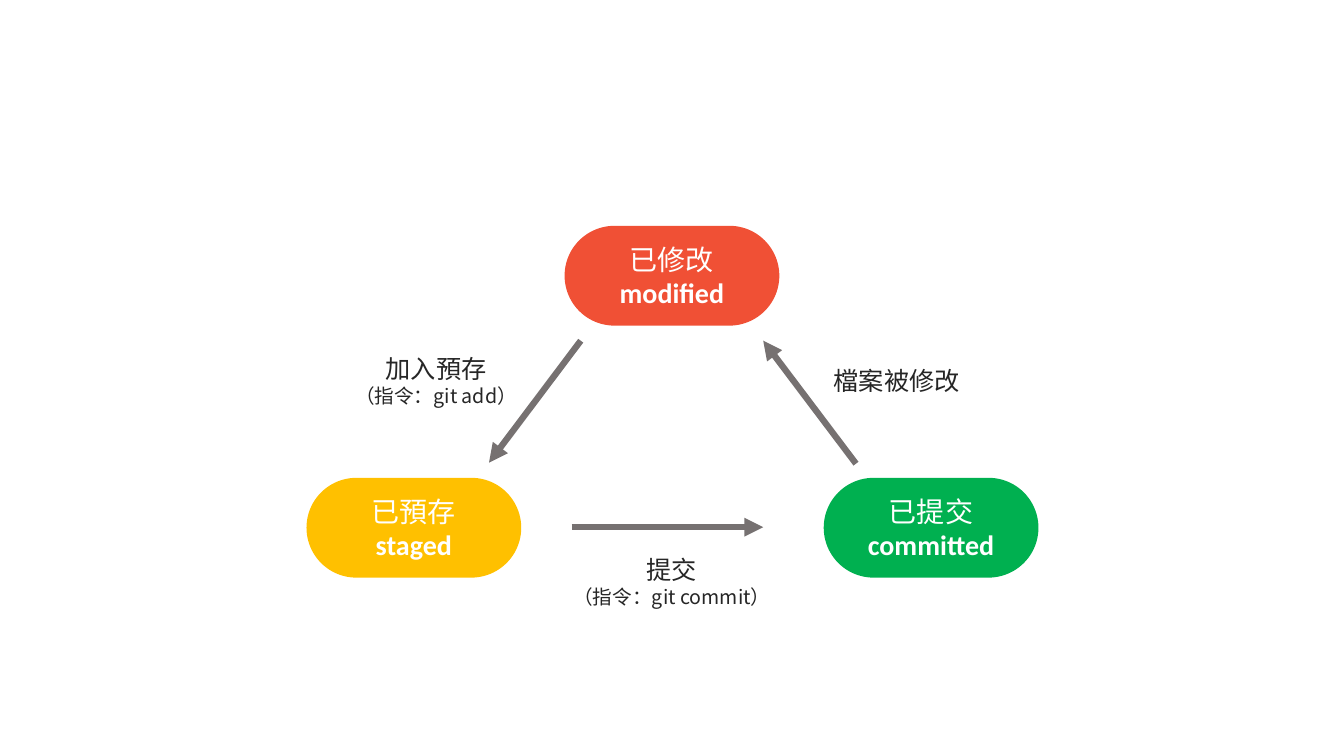
from dataclasses import dataclass

from lxml import etree
from pptx import Presentation
from pptx.dml.color import RGBColor
from pptx.enum import shapes, text
from pptx.oxml import ns
from pptx.util import Inches, Pt


@dataclass(frozen=True)
class Theme:
    cjk: str = "Noto Sans CJK TC"
    latin: str = "Calibri"
    modified: str = "F05035"
    staged: str = "FFC000"
    committed: str = "00B050"
    arrow: str = "767171"
    ink: str = "262626"
    white: str = "FFFFFF"
    state_size: int = 20
    action_size: int = 18
    command_size: int = 14
    arrow_width: float = 4.5


THEME = Theme()
STATE_SIZE = (2.13, 0.99)


def set_typeface(font, typeface):
    """Use one typeface for both Latin and East Asian characters."""
    font.name = typeface
    latin = font._element.find(ns.qn("a:latin"))
    east_asian = etree.Element(ns.qn("a:ea"), typeface=typeface)
    latin.addnext(east_asian)


def add_state(slide, left, top, title, english, color):
    """A pill with the state's name in Chinese and in English."""
    width, height = STATE_SIZE
    state = slide.shapes.add_shape(
        shapes.MSO_SHAPE.ROUNDED_RECTANGLE,
        Inches(left), Inches(top), Inches(width), Inches(height))
    state.adjustments[0] = 0.5
    state.shadow.inherit = False
    state.fill.solid()
    state.fill.fore_color.rgb = RGBColor.from_string(color)
    state.line.fill.background()

    frame = state.text_frame
    frame.word_wrap = True
    frame.vertical_anchor = text.MSO_ANCHOR.MIDDLE
    names = frame.paragraphs[0]
    names.alignment = text.PP_ALIGN.CENTER
    names.font.size = Pt(THEME.state_size)
    names.font.color.rgb = RGBColor.from_string(THEME.white)

    title_run = names.add_run()
    title_run.text = title
    set_typeface(title_run.font, THEME.cjk)
    names.add_line_break()
    english_run = names.add_run()
    english_run.text = english
    english_run.font.bold = True
    set_typeface(english_run.font, THEME.latin)


def add_arrow(slide, start, end):
    """A straight transition arrow with a triangle at its end."""
    arrow = slide.shapes.add_connector(
        shapes.MSO_CONNECTOR.STRAIGHT, *map(Inches, start + end))
    arrow.line.width = Pt(THEME.arrow_width)
    arrow.line.color.rgb = RGBColor.from_string(THEME.arrow)
    etree.SubElement(arrow.line._get_or_add_ln(), ns.qn("a:tailEnd"), type="triangle")
    etree.SubElement(arrow._element.spPr, ns.qn("a:effectLst"))


def add_action(slide, box, action, command=None):
    """The action's name, with its command on a smaller second line."""
    label = slide.shapes.add_textbox(*map(Inches, box))
    frame = label.text_frame
    frame.word_wrap = True
    frame.auto_size = text.MSO_AUTO_SIZE.SHAPE_TO_FIT_TEXT
    wording = frame.paragraphs[0]
    wording.font.size = Pt(THEME.action_size)
    wording.font.color.rgb = RGBColor.from_string(THEME.ink)
    set_typeface(wording.font, THEME.cjk)

    wording.add_run().text = action
    if command:
        wording.alignment = text.PP_ALIGN.CENTER
        wording.add_line_break()
        command_run = wording.add_run()
        command_run.text = f"（指令：{command}）"
        command_run.font.size = Pt(THEME.command_size)


def main():
    deck = Presentation()
    deck.slide_width, deck.slide_height = Inches(13.33), Inches(7.5)
    slide = deck.slides.add_slide(deck.slide_layouts[6])

    # File states
    add_state(slide, 5.6, 2.24, "已修改", "modified", THEME.modified)
    add_state(slide, 3.04, 4.74, "已預存", "staged", THEME.staged)
    add_state(slide, 8.17, 4.74, "已提交", "committed", THEME.committed)

    # Transitions
    add_arrow(slide, (5.76, 3.38), (4.85, 4.59))
    add_arrow(slide, (5.67, 5.23), (7.57, 5.23))
    add_arrow(slide, (8.49, 4.6), (7.57, 3.38))

    # Actions behind the transitions
    add_action(slide, (8.17, 3.58, 1.61, 0.4), "檔案被修改")
    add_action(slide, (5.43, 5.45, 2.47, 0.64), "提交", "git commit")
    add_action(slide, (3.09, 3.46, 2.47, 0.64), "加入預存", "git add")

    deck.save("out.pptx")


if __name__ == "__main__":
    main()
